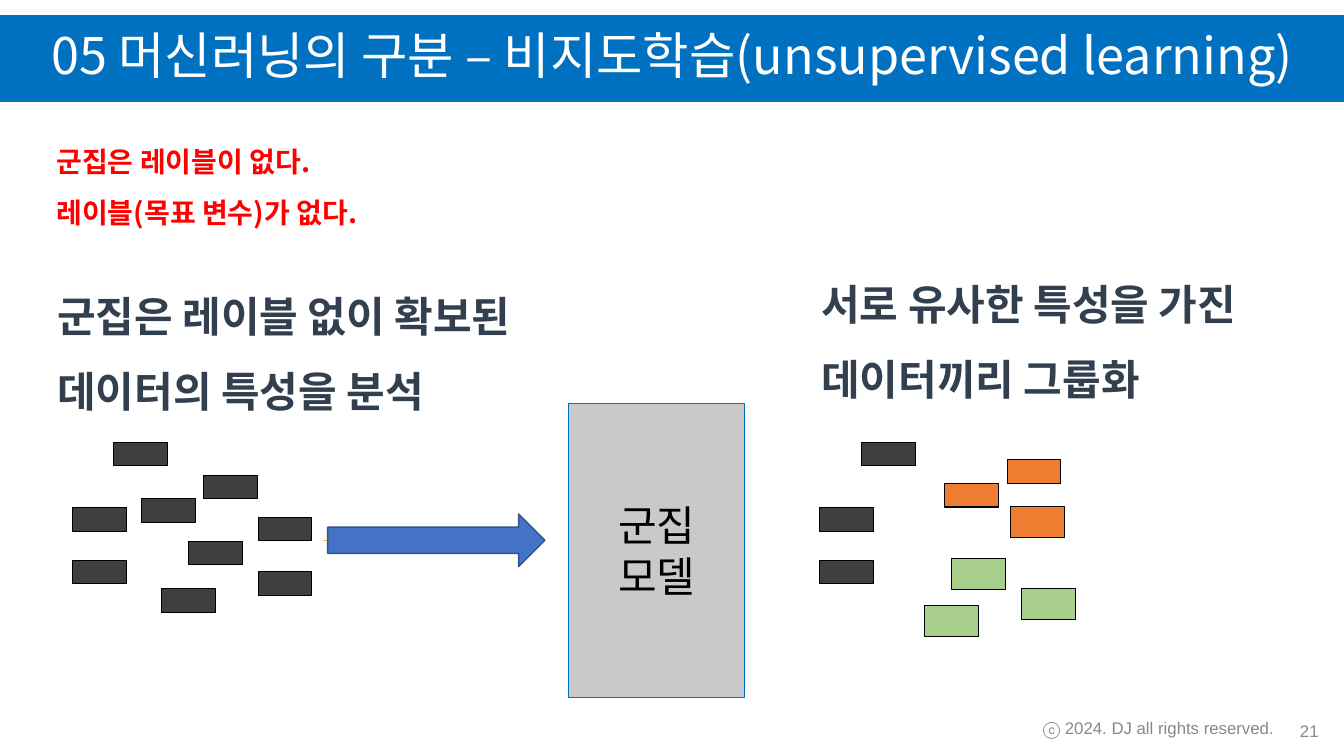
from lxml.etree import SubElement
from pptx import Presentation
from pptx.dml.color import RGBColor
from pptx.enum.shapes import MSO_CONNECTOR, MSO_SHAPE
from pptx.enum.text import MSO_ANCHOR, MSO_AUTO_SIZE, PP_ALIGN
from pptx.oxml.ns import qn
from pptx.util import Pt

WHITE = RGBColor(0xFF, 0xFF, 0xFF)
BLACK = RGBColor(0, 0, 0)
BLUE = RGBColor(0x00, 0x70, 0xC0)
RED = RGBColor(0xFF, 0, 0)
NAVY = RGBColor(0x32, 0x3F, 0x4F)
SILVER = RGBColor(0xC9, 0xC9, 0xC9)
GRAY = RGBColor(0x88, 0x88, 0x88)
CHARCOAL = RGBColor(0x3F, 0x3F, 0x3F)
ORANGE = RGBColor(0xED, 0x7D, 0x31)
GREEN = RGBColor(0xA8, 0xD0, 0x8C)
AMBER = RGBColor(0xFF, 0xC0, 0)
ARROW_FILL = RGBColor(0x44, 0x72, 0xC4)
ARROW_EDGE = RGBColor(0x31, 0x53, 0x8F)
KOREAN, LATIN = "Noto Sans CJK KR", "Arial"

# Content: all lengths in points
TITLE = "05 머신러닝의 구분 – 비지도학습(unsupervised learning)"
MODEL = ["군집", "모델"]

# lines, box (left, top, width, height), size, colour
STATEMENTS = [
    (["군집은 레이블이 없다.", "레이블(목표 변수)가 없다."],
     (33.1, 87.8, 387.4, 87.1), 20, RED),
    (["군집은 레이블 없이 확보된 데이터의 특성을 분석"],
     (33.8, 185.8, 387.4, 116.6), 30, NAVY),
    (["서로 유사한 특성을 가진 데이터끼리 그룹화"],
     (579.6, 177.1, 338.4, 116.6), 30, NAVY),
]
FOOTERS = [
    ("21", (905.8, 509.8, 43.2, 24.5), PP_ALIGN.RIGHT),
    ("ⓒ 2024. DJ all rights reserved.", (707, 504, 241.2, 31.7), PP_ALIGN.CENTER),
]

# Data points: colour, height, (left, top) positions
POINT_WIDTH, LOW, HIGH = 38.5, 16.7, 22.2
DATA_POINTS = [
    (CHARCOAL, LOW, [(51.6, 362.7), (81.4, 316), (100.9, 356.3), (51.6, 400.3),
                     (115.2, 420.5), (184.4, 408.4), (184.4, 369.5),
                     (134.6, 386.8), (145.3, 339.4)]),
    (CHARCOAL, LOW, [(585.4, 362.7), (615.5, 316), (585.4, 400.3)]),
    (ORANGE, LOW, [(674.5, 345.5), (719.4, 328.5)]),
    (ORANGE, HIGH, [(722, 362)]),
    (GREEN, HIGH, [(660.6, 432.8), (730, 420.6), (679.6, 399)]),
]


def write(shape, lines, size, color, font=KOREAN, bold=False,
          align=PP_ALIGN.LEFT, spacing=None, anchor=MSO_ANCHOR.TOP):
    frame = shape.text_frame
    frame.word_wrap = True
    frame.auto_size = MSO_AUTO_SIZE.NONE
    frame.vertical_anchor = anchor
    frame.text = "\n".join(lines)
    for paragraph in frame.paragraphs:
        paragraph.alignment = align
        paragraph.line_spacing = spacing
        style = paragraph.font
        style.size, style.bold, style.name = Pt(size), bold, font
        style.color.rgb = color
        # East Asian typeface for the Korean letters
        defaults = paragraph._p.pPr.find(qn("a:defRPr"))
        SubElement(defaults, qn("a:ea")).set("typeface", font)


def add_block(kind, box, fill, edge, edge_width=0.75):
    block = slide.shapes.add_shape(kind, *map(Pt, box))
    block.shadow.inherit = False
    block.fill.solid()
    block.fill.fore_color.rgb = fill
    block.line.color.rgb = edge
    block.line.width = Pt(edge_width)
    return block


deck = Presentation()
deck.slide_width, deck.slide_height = Pt(960), Pt(540)
slide = deck.slides.add_slide(deck.slide_layouts[5])

# Title band
title = slide.shapes.title
title.left, title.top, title.width, title.height = map(Pt, (0, 10.8, 960, 61.9))
title.fill.solid()
title.fill.fore_color.rgb = BLUE
write(title, [TITLE], 36, WHITE, align=PP_ALIGN.CENTER, spacing=0.9,
      anchor=MSO_ANCHOR.MIDDLE)

# Clustering model
model = add_block(MSO_SHAPE.RECTANGLE, (406.1, 288, 126, 210.2), SILVER, BLUE)
write(model, MODEL, 30, BLACK, align=PP_ALIGN.CENTER, anchor=MSO_ANCHOR.MIDDLE)
frame = model.text_frame
frame.margin_left = frame.margin_top = frame.margin_right = frame.margin_bottom = 0
frame.paragraphs[1].space_before = Pt(0.2)

# Statements
for lines, box, size, color in STATEMENTS:
    statement = slide.shapes.add_textbox(*map(Pt, box))
    write(statement, lines, size, color, bold=True, spacing=1.5)

# Flow from the data to the model
flow = slide.shapes.add_connector(MSO_CONNECTOR.STRAIGHT,
                                  *map(Pt, (230.4, 385.9, 375.8, 385.9)))
flow.line.color.rgb = AMBER
flow.line.width = Pt(0.75)
SubElement(flow.line._get_or_add_ln(), qn("a:tailEnd")).set("type", "stealth")
SubElement(flow._element.spPr, qn("a:effectLst"))
add_block(MSO_SHAPE.RIGHT_ARROW, (234, 367.2, 155.2, 37.4), ARROW_FILL, ARROW_EDGE, 1)

# Data points before and after grouping
for color, height, positions in DATA_POINTS:
    for left, top in positions:
        add_block(MSO_SHAPE.RECTANGLE, (left, top, POINT_WIDTH, height), color, BLACK)

# Footer
for text, box, align in FOOTERS:
    footer = slide.shapes.add_textbox(*map(Pt, box))
    write(footer, [text], 12, GRAY, font=LATIN, align=align, anchor=MSO_ANCHOR.MIDDLE)

deck.save("out.pptx")
